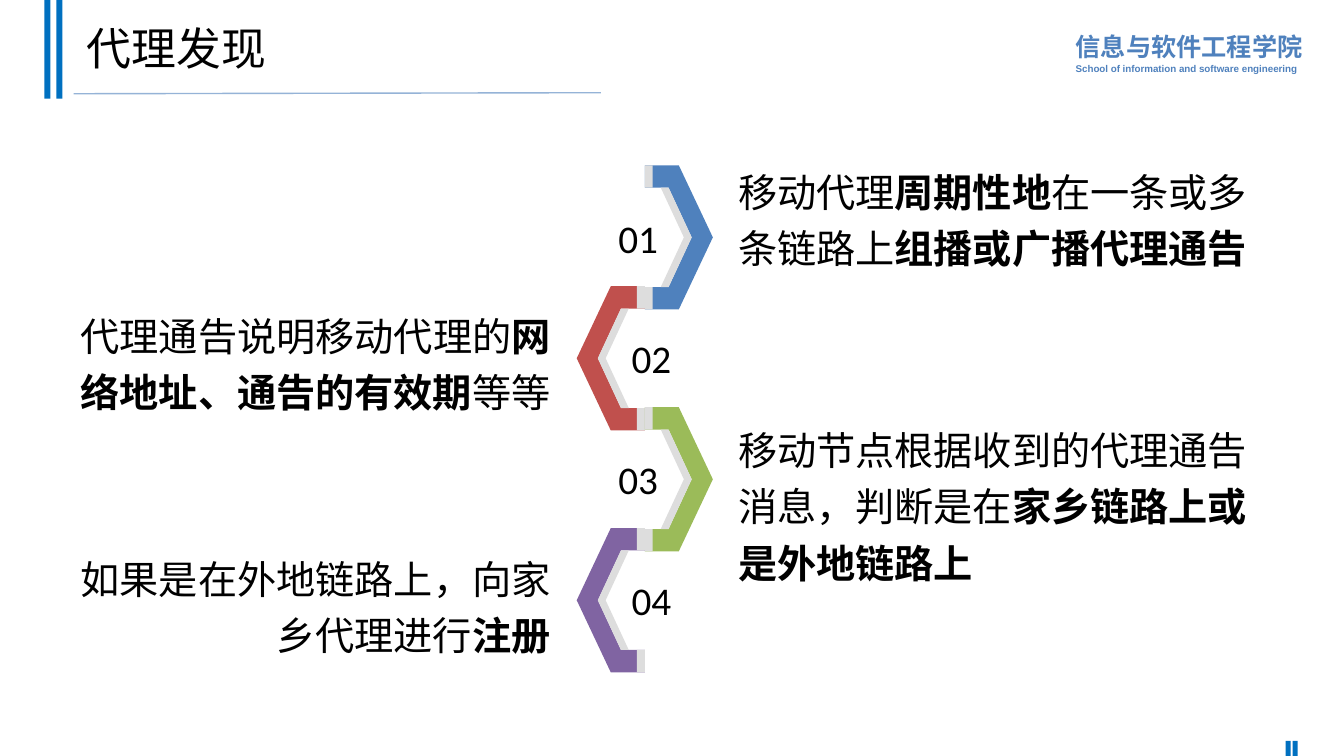
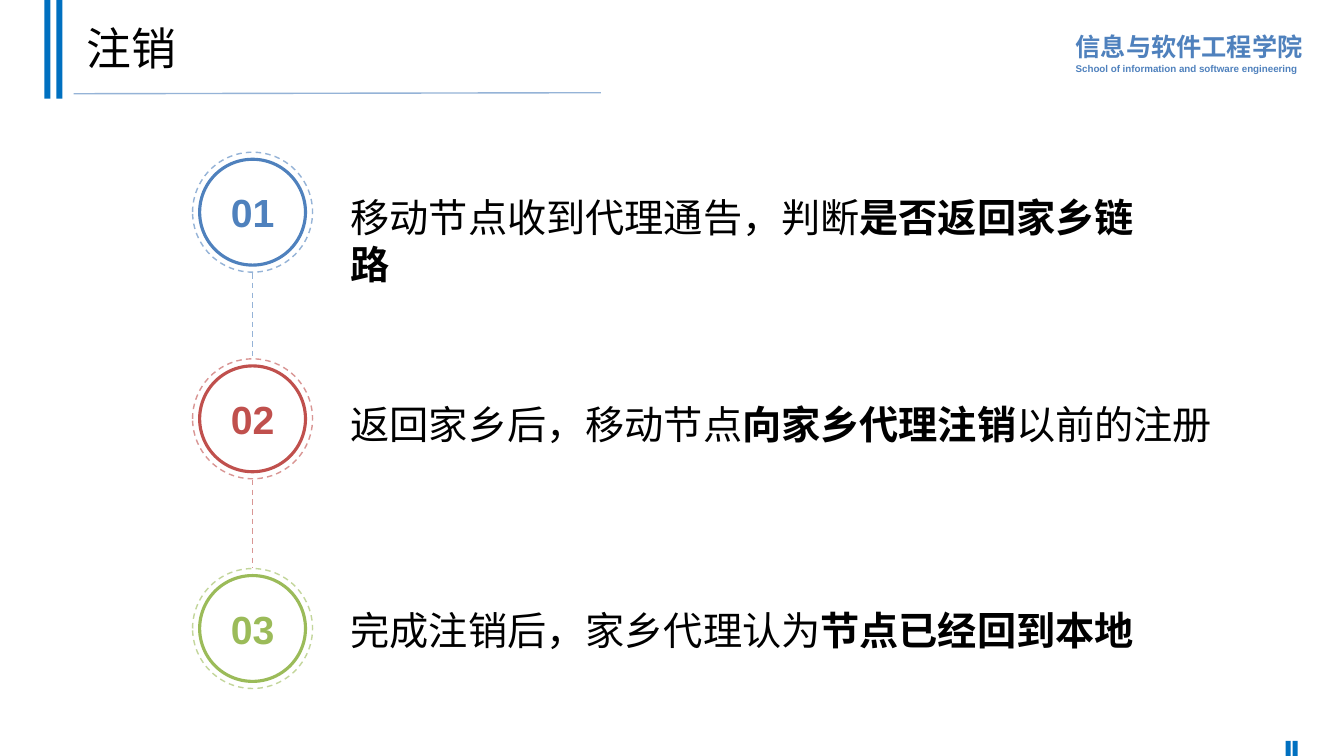
from lxml import etree
from pptx import Presentation
from pptx.dml.color import RGBColor
from pptx.enum.dml import MSO_LINE
from pptx.enum.shapes import MSO_CONNECTOR, MSO_SHAPE
from pptx.enum.text import MSO_ANCHOR, MSO_AUTO_SIZE, PP_ALIGN
from pptx.oxml.ns import qn
from pptx.util import Inches, Pt

LEFT, CENTER, RIGHT = PP_ALIGN.LEFT, PP_ALIGN.CENTER, PP_ALIGN.RIGHT
TOP, MIDDLE = MSO_ANCHOR.TOP, MSO_ANCHOR.MIDDLE
RECT, OVAL = MSO_SHAPE.RECTANGLE, MSO_SHAPE.OVAL
STRAIGHT, DASH, NO_FIT = MSO_CONNECTOR.STRAIGHT, MSO_LINE.DASH, MSO_AUTO_SIZE.NONE

BLACK = RGBColor(0x00, 0x00, 0x00)
STRIPE = RGBColor(0x00, 0x70, 0xC0)
SHADE = RGBColor(0xDD, 0xDD, 0xDD)
BLUE = RGBColor(0x4F, 0x81, 0xBD)
RED = RGBColor(0xC0, 0x50, 0x4D)
GREEN = RGBColor(0x9B, 0xBB, 0x59)
PURPLE = RGBColor(0x80, 0x64, 0xA2)
PALE_BLUE = RGBColor(0x95, 0xB3, 0xD7)
PALE_RED = RGBColor(0xD9, 0x96, 0x94)
PALE_GREEN = RGBColor(0xC3, 0xD6, 0x9B)
HAN = "Noto Sans CJK SC"

# The grid has 100 columns and 100 rows to the inch.
CELL = Inches(0.01)
WIDE, HIGH = 1333, 750
TITLE_BOX = (76, 7, 1150, 88)

# Shares of a link's width and height.
BAND = [(0.5, 0), (0, 0), (0, 0.155), (0.35, 0.155), (0.69, 0.5), (0.35, 0.845),
        (0, 0.845), (0, 1), (0.5, 1), (1, 0.5)]
FOLDS = [
    [(0, 0.845), (0.115, 0.845), (0.115, 1), (0, 1)],
    [(0.235, 0.155), (0.35, 0.155), (0.69, 0.5), (0.35, 0.845), (0.235, 0.845), (0.575, 0.5)],
    [(0, 0), (0.115, 0), (0.115, 0.155), (0, 0.155)],
]

# Colour, box of the text, plain and bold runs in turn.
LINKS = [
    (BLUE, (732, 121, 527, 185),
     ["移动代理", "周期性地", "在一条或多条链路上", "组播或广播代理通告"]),
    (RED, (63, 285, 483, 143),
     ["代理通告说明移动代理的", "网络地址、通告的有效期", "等等"]),
    (GREEN, (732, 404, 511, 187),
     ["移动节点根据收到的代理通告消息，判断是在", "家乡链路上或是外地链路上"]),
    (PURPLE, (63, 526, 483, 143),
     ["如果是在外地链路上，向家乡代理进行", "注册"]),
]
# Colour, pale colour, top of the ring, width of the text, runs.
STEPS = [
    (BLUE, PALE_BLUE, 151, 797, ["移动节点收到代理通告，判断", "是否返回家乡链路"]),
    (RED, PALE_RED, 356, 884, ["返回家乡后，移动节点", "向家乡代理注销", "以前的注册"]),
    (GREEN, PALE_GREEN, 564, 884, ["完成注销后，家乡代理认为", "节点已经回到本地"]),
]


def grid(*cells):
    return [round(cell * CELL) for cell in cells]


def format_all(item, values):
    for name, value in values.items():
        setattr(item, name, value)


def write(par, runs, size, color=BLACK, font="Arial", bold=False, **layout):
    """Add runs to a paragraph; every second one is bold."""
    format_all(par, layout)
    for i, text in enumerate(runs):
        run = par.add_run()
        run.text = text
        format_all(run.font, {"name": font, "size": Pt(size), "bold": bold or i % 2 == 1})
        run.font.color.rgb = color
        east = etree.SubElement(run.font._element, qn("a:ea"))
        east.set("typeface", HAN)


def add_text(slide, box, anchor=MIDDLE, inset=0, wrap=True):
    frame = slide.shapes.add_textbox(*grid(*box)).text_frame
    format_all(frame, {"word_wrap": wrap, "vertical_anchor": anchor})
    if inset is not None:
        format_all(frame, {f"margin_{side}": inset
                           for side in ("left", "top", "right", "bottom")})
    return frame


def paint(shape, fill=None, line=None, width=1, dash=None):
    shape.shadow.inherit = False
    if fill is None:
        shape.fill.background()
    else:
        shape.fill.solid()
        shape.fill.fore_color.rgb = fill
    if line is None:
        shape.line.fill.background()
    else:
        shape.line.color.rgb = line
        format_all(shape.line, {"width": Pt(width), "dash_style": dash})
    return shape


def add_line(slide, ends, color, dash=None):
    line = slide.shapes.add_connector(STRAIGHT, *grid(*ends))
    line.line.color.rgb = color
    format_all(line.line, {"width": Pt(1), "dash_style": dash})
    etree.SubElement(line._element.spPr, qn("a:effectLst"))
    return line


def build_frame(deck, layout):
    """Give the layout its title box, stripes, rule and name of the school."""
    for holder in list(layout.placeholders):
        if holder.placeholder_format.idx:
            holder.element.getparent().remove(holder.element)
        else:
            format_all(holder, dict(zip(("left", "top", "width", "height"), grid(*TITLE_BOX))))
    slide = deck.slides.add_slide(layout)
    school = add_text(slide, (1057, 23, 245, 56), TOP, None, False)
    write(school.paragraphs[0], ["信息与软件工程学院"], 18, BLUE, bold=True, line_spacing=1.1)
    write(school.add_paragraph(), ["School of information and software engineering"], 7, BLUE,
          bold=True, line_spacing=1.1)
    parts = [school._parent]
    for left, top, wide, high, step in ((44, 0, 6, 98, 12), (1275, HIGH - 15, 5, 15, 7)):
        for x in (left, left + step):
            bar = slide.shapes.add_shape(RECT, *grid(x, top, wide, high))
            parts.append(paint(bar, STRIPE))
    parts.append(add_line(slide, (73, 93, 596, 92), PALE_BLUE))
    for part in parts:
        layout.shapes.element.append(part._element)
    return slide


def set_title(slide, text):
    frame = slide.shapes.title.text_frame
    format_all(frame, {"vertical_anchor": MIDDLE, "auto_size": NO_FIT, "word_wrap": True})
    write(frame.paragraphs[0], [text], 32, alignment=LEFT, line_spacing=0.9)


def draw_paths(slide, box, side, paths, fill):
    """Draw outlines given as shares of the box, from its axis to one side."""
    x, y, wide, high = box
    paths = [[grid(x + side * wide * h, y + high * v) for h, v in path] for path in paths]
    pen = slide.shapes.build_freeform(*paths[0][0], scale=1.0)
    for i, path in enumerate(paths):
        if i:
            pen.move_to(*path[0])
        pen.add_line_segments(path[1:], close=True)
    paint(pen.convert_to_shape(), fill)


def add_link(slide, box, side, label, color):
    x, y, _, high = box
    draw_paths(slide, box, side, [BAND], color)
    draw_paths(slide, box, side, FOLDS, SHADE)
    left = x + 13 - 109 if side > 0 else x - 13
    frame = add_text(slide, (left, y, 109, high))
    write(frame.paragraphs[0], [label], 28, font="Calibri", alignment=RIGHT if side > 0 else LEFT)


def add_chain(slide, box):
    """Stack links down the axis of the box, turning right and left."""
    x, y, wide, high = box
    for i, (color, place, runs) in enumerate(LINKS):
        side = -1 if i % 2 else 1
        add_link(slide, (x, y + i * 120, wide, high), side, f"{i + 1:02}", color)
        write(add_text(slide, place).paragraphs[0], runs, 28, font=HAN,
              alignment=LEFT if side > 0 else RIGHT, line_spacing=1.2, space_before=Pt(6))


def add_badge(slide, box, label, color, pale):
    x, y, size = box
    gap = 7
    disc = slide.shapes.add_shape(OVAL, *grid(x + gap, y + gap, size - 2 * gap, size - 2 * gap))
    paint(disc, line=color, width=2.25)
    disc.text_frame.vertical_anchor = MIDDLE
    write(disc.text_frame.paragraphs[0], [label], 28, color, bold=True, alignment=CENTER)
    ring = slide.shapes.add_shape(OVAL, *grid(x, y, size, size))
    paint(ring, line=pale, dash=DASH)


def add_steps(slide, left, size):
    """Run the badges down one column, each with its text at the right."""
    for i, (color, pale, top, wide, runs) in enumerate(STEPS):
        add_badge(slide, (left, top, size), f"{i + 1:02}", color, pale)
        if i + 1 < len(STEPS):
            x = left + size / 2
            add_line(slide, (x, top + size + 1, x, STEPS[i + 1][2]), pale, DASH)
        frame = add_text(slide, (left + size + 28, 187 + i * 205, wide, 57), TOP, None)
        write(frame.paragraphs[0], runs, 28)


def main():
    deck = Presentation()
    deck.slide_width, deck.slide_height = grid(WIDE, HIGH)
    layout = deck.slide_layouts[5]
    find = build_frame(deck, layout)
    set_title(find, "代理发现")
    add_chain(find, (639.5, 164, 67.5, 143))
    leave = deck.slides.add_slide(layout)
    set_title(leave, "注销")
    add_steps(leave, 191, 119)
    deck.save("out.pptx")


if __name__ == "__main__":
    main()
